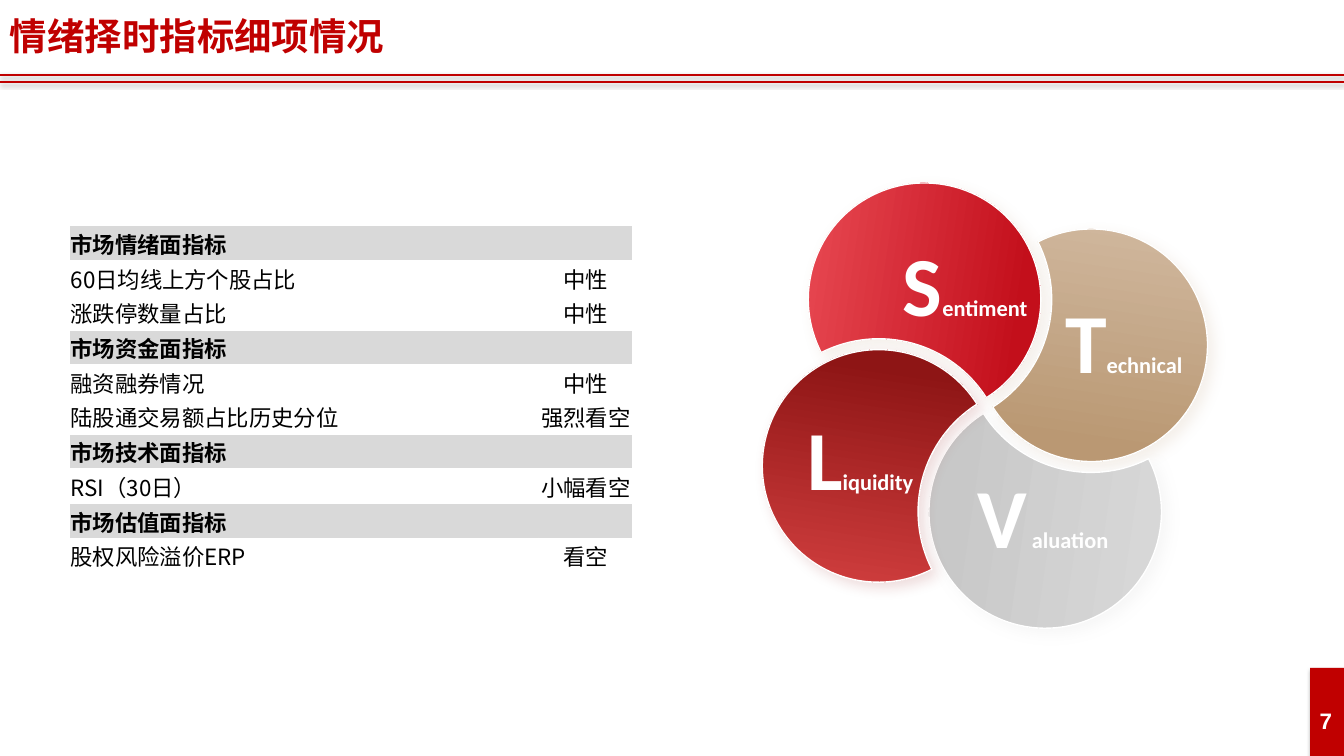
"""Slide on the details of the sentiment timing indicators."""
import math
from lxml import etree
from pptx import Presentation
from pptx.dml.color import RGBColor
from pptx.enum import shapes, text
from pptx.oxml import parse_xml
from pptx.oxml.ns import nsdecls, qn
from pptx.util import Cm, Pt

HUE = {"red": "C00000", "white": "FFFFFF", "black": "000000",
       "band": "D9D9D9", "tan": "BA9873", "grey": "C8C8C8", "wine": "8E1515"}


def style(par, size, name, hue, bold=True):
    """Set the font that all runs of a paragraph share."""
    font = par.font
    font.size, font.bold, font.name = Pt(size), bold, name
    font.color.rgb = RGBColor.from_string(HUE[hue])
    face = etree.SubElement(par._p.pPr.find(qn("a:defRPr")), qn("a:ea"))
    face.set("typeface", "Noto Sans CJK SC")


def shade(item, hue, alpha, blur, dist, turn):
    """Give a shape or line its outer shadow."""
    item._element.spPr.append(parse_xml(
        f'<a:effectLst {nsdecls("a")}><a:outerShdw blurRad="{Pt(blur)}" '
        f'dist="{Pt(dist)}" dir="{turn * 60000}" algn="ctr" rotWithShape="0">'
        f'<a:srgbClr val="{HUE[hue]}"><a:alpha val="{alpha * 1000}"/>'
        '</a:srgbClr></a:outerShdw></a:effectLst>'))


deck = Presentation()
deck.slide_width, deck.slide_height = Cm(33.87), Cm(19.05)
slide = deck.slides.add_slide(deck.slide_layouts[5])
parts = slide.shapes

for y in (1.88, 2.06):
    rule = parts.add_connector(shapes.MSO_CONNECTOR.STRAIGHT,
                               0, Cm(y), deck.slide_width, Cm(y))
    rule.line.color.rgb = RGBColor.from_string(HUE["red"])
    rule.line.width = Pt(1.5)
    shade(rule, "black", 35, 3, 1.8, 90)

tab = parts.add_shape(shapes.MSO_SHAPE.RECTANGLE,
                      Cm(33.02), Cm(16.83), Cm(0.85), Cm(2.22))
tab.fill.solid()
tab.fill.fore_color.rgb = RGBColor.from_string(HUE["red"])
tab.line.fill.background()
shade(tab, "black", 35, 3, 1.8, 90)

page = parts.add_textbox(Cm(32.95), Cm(17.7), Cm(0.92), Cm(0.94)).text_frame
page.word_wrap = False
page.margin_left = page.margin_right = Cm(0.13)
page.text = "7"
page.paragraphs[0].alignment = text.PP_ALIGN.CENTER
style(page.paragraphs[0], 16, "Arial", "white")

title = parts.title
title.left, title.top, title.width, title.height = Cm(0), Cm(0.18), Cm(33.68), Cm(1.42)
frame = title.text_frame
frame.text = "情绪择时指标细项情况"
frame.auto_size = text.MSO_AUTO_SIZE.NONE
frame.vertical_anchor = text.MSO_ANCHOR.MIDDLE
frame.margin_left = frame.margin_right = Cm(0.25)
frame.paragraphs[0].alignment = text.PP_ALIGN.LEFT
style(frame.paragraphs[0], 26.7, "Arial", "red")

rows = [
    ("市场情绪面指标", None),
    ("60日均线上方个股占比", "中性"),
    ("涨跌停数量占比", "中性"),
    ("市场资金面指标", None),
    ("融资融券情况", "中性"),
    ("陆股通交易额占比历史分位", "强烈看空"),
    ("市场技术面指标", None),
    ("RSI（30日）", "小幅看空"),
    ("市场估值面指标", None),
    ("股权风险溢价ERP", "看空"),
]
table = parts.add_table(len(rows), 2, Cm(1.76), Cm(5.69), Cm(14.19), Cm(8.75)).table
table.first_row = table.horz_banding = False
table.columns[0].width, table.columns[1].width = Cm(11.82), Cm(2.37)
for r, (label, view) in enumerate(rows):
    head = view is None
    if head:
        table.cell(r, 0).merge(table.cell(r, 1))
    for c, word in enumerate((label,) if head else (label, view)):
        cell = table.cell(r, c)
        cell.text = word
        cell.vertical_anchor = text.MSO_ANCHOR.MIDDLE
        cell.margin_left = cell.margin_right = cell.margin_top = Cm(0.02)
        cell.margin_bottom = 0
        if head:
            cell.fill.solid()
            cell.fill.fore_color.rgb = RGBColor.from_string(HUE["band"])
        else:
            cell.fill.background()
        par = cell.text_frame.paragraphs[0]
        par.alignment = text.PP_ALIGN.CENTER if c else text.PP_ALIGN.LEFT
        style(par, 16, "Noto Sans CJK SC", "black", head)

disc, bite, gap, aim = 2.93, 3.21, 4.36, 142
half = math.degrees(math.acos((disc**2 + gap**2 - bite**2) / (2 * disc * gap)))
nick = math.degrees(math.acos((bite**2 + gap**2 - disc**2) / (2 * bite * gap)))
dx, dy = gap * math.cos(math.radians(aim)), gap * math.sin(math.radians(aim))
back = aim + 180
arcs = [(0, 0, disc, (aim + half, back - 90, back, back + 90, aim - half + 360)),
        (dx, dy, bite, (back + nick, back, back - nick))]
edge = []
for x, y, rad, knots in arcs:
    for start, end in zip(knots, knots[1:]):
        a, b = math.radians(start), math.radians(end)
        pull = 4 / 3 * math.tan((b - a) / 4)
        bend = [(math.cos(a), math.sin(a)),
                (math.cos(a) - pull * math.sin(a), math.sin(a) + pull * math.cos(a)),
                (math.cos(b) + pull * math.sin(b), math.sin(b) - pull * math.cos(b)),
                (math.cos(b), math.sin(b))]
        edge += [(x + rad * u, y + rad * v) for u, v in bend[bool(edge):]]
midx, midy = [(min(axis) + max(axis)) / 2 for axis in zip(*edge)]
dots = [(1000 * u, 1000 * v) for u, v in edge]

blades = [
    ("S", "entiment", "F25862", "C30F1B", "tan", 22.5, 6.02),
    ("T", "echnical", "D6C1AB", "BA9873", "tan", 26.32, 7.47),
    ("V", " aluation", "DEDEDE", "C8C8C8", "grey", 24.28, 11.86),
    ("L", "iquidity", "E44A4A", "8E1515", "wine", 19.68, 10.41),
]
hub = (24.82, 10.22)
off = (-1.52, -2.68)
for n, (big, rest, light, dark, glow, left, top) in enumerate(blades):
    spin = (323.3 + 90 * n) % 360
    cos, sin = math.cos(math.radians(spin)), math.sin(math.radians(spin))
    form = parts.build_freeform(*dots[0], scale=Cm(1) / 1000)
    form.add_line_segments(dots[1:], close=True)
    blade = form.convert_to_shape(
        Cm(hub[0] + off[0] + midx * cos - midy * sin - midx),
        Cm(hub[1] + off[1] + midx * sin + midy * cos - midy))
    lines = list(blade._element.iter(qn("a:lnTo")))
    for i in range(0, len(lines) - 2, 3):
        curve = etree.Element(qn("a:cubicBezTo"))
        lines[i].addprevious(curve)
        for line in lines[i:i + 3]:
            curve.append(line[0])
            line.getparent().remove(line)
    blade.rotation = spin
    blade.fill.gradient()
    blade.fill.gradient_angle = 315
    for stop, spot, hue in zip(blade.fill.gradient_stops, (0, 0.75), (light, dark)):
        stop.position = spot
        stop.color.rgb = RGBColor.from_string(hue)
    blade.line.color.rgb = RGBColor.from_string(HUE["white"])
    blade.line.width = Pt(1)
    shade(blade, glow, 15, 10, 5, 45)
    off = (-off[1], off[0])

    frame = parts.add_textbox(Cm(left), Cm(top), Cm(4), Cm(2.54)).text_frame
    frame.word_wrap = True
    par = frame.paragraphs[0]
    par.alignment = text.PP_ALIGN.CENTER if n else text.PP_ALIGN.LEFT
    par.line_spacing = 0.9
    style(par, 16, "Calibri", "white")
    for word, size in ((big, 60), (rest, 16)):
        run = par.add_run()
        run.text = word
        run.font.size = Pt(size)

deck.save("out.pptx")
